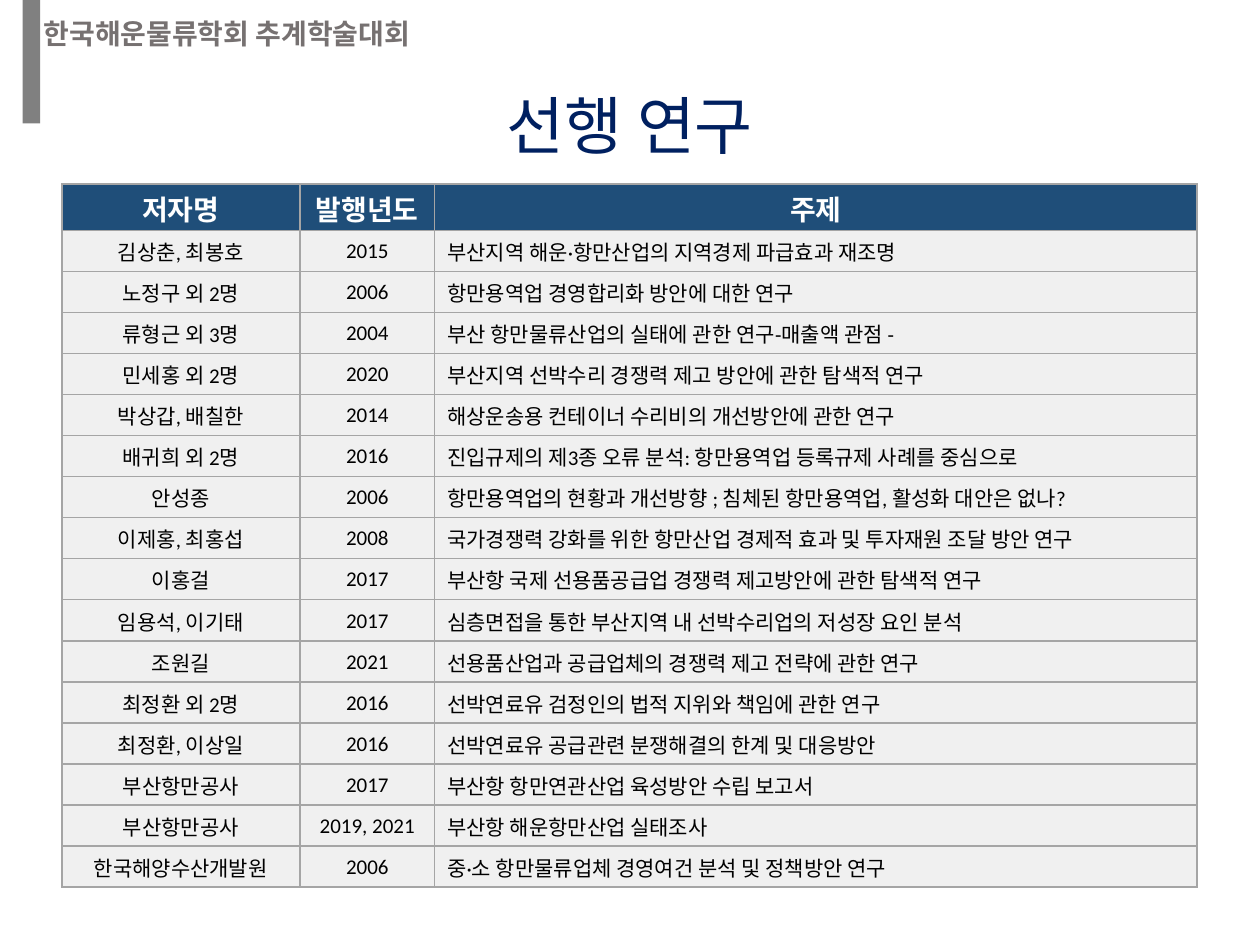
from lxml.etree import SubElement
from pptx import Presentation
from pptx.dml.color import RGBColor
from pptx.enum.shapes import MSO_SHAPE
from pptx.enum.text import MSO_ANCHOR, MSO_AUTO_SIZE, PP_ALIGN
from pptx.oxml.ns import qn
from pptx.util import Inches, Pt

# Content
CONFERENCE = "한국해운물류학회 추계학술대회"
TITLE = "선행 연구"
HEADINGS = ("저자명", "발행년도", "주제")
STUDIES = [
    ("김상춘, 최봉호", "2015", "부산지역 해운·항만산업의 지역경제 파급효과 재조명"),
    ("노정구 외 2명", "2006", "항만용역업 경영합리화 방안에 대한 연구"),
    ("류형근 외 3명", "2004", "부산 항만물류산업의 실태에 관한 연구-매출액 관점 -"),
    ("민세홍 외 2명", "2020", "부산지역 선박수리 경쟁력 제고 방안에 관한 탐색적 연구"),
    ("박상갑, 배칠한", "2014", "해상운송용 컨테이너 수리비의 개선방안에 관한 연구"),
    ("배귀희 외 2명", "2016", "진입규제의 제3종 오류 분석: 항만용역업 등록규제 사례를 중심으로"),
    ("안성종", "2006", "항만용역업의 현황과 개선방향 ; 침체된 항만용역업, 활성화 대안은 없나?"),
    ("이제홍, 최홍섭", "2008", "국가경쟁력 강화를 위한 항만산업 경제적 효과 및 투자재원 조달 방안 연구"),
    ("이홍걸", "2017", "부산항 국제 선용품공급업 경쟁력 제고방안에 관한 탐색적 연구"),
    ("임용석, 이기태", "2017", "심층면접을 통한 부산지역 내 선박수리업의 저성장 요인 분석"),
    ("조원길", "2021", "선용품산업과 공급업체의 경쟁력 제고 전략에 관한 연구"),
    ("최정환 외 2명", "2016", "선박연료유 검정인의 법적 지위와 책임에 관한 연구"),
    ("최정환, 이상일", "2016", "선박연료유 공급관련 분쟁해결의 한계 및 대응방안"),
    ("부산항만공사", "2017", "부산항 항만연관산업 육성방안 수립 보고서"),
    ("부산항만공사", "2019, 2021", "부산항 해운항만산업 실태조사"),
    ("한국해양수산개발원", "2006", "중·소 항만물류업체 경영여건 분석 및 정책방안 연구"),
]

COLORS = {
    "conference": "767171", "bar": "808080", "title": "002060",
    "heading_fill": "1F4E79", "heading_text": "FFFFFF",
    "body_fill": "F0F0F0", "body_text": "000000", "border": "A5A5A5",
}
KOREAN_FONT = "Noto Sans CJK KR"
COLUMN_WIDTHS = (1.89, 1.07, 6.05)
TABLE_LEFT, TABLE_TOP, TABLE_HEIGHT = 0.49, 1.46, 5.58
HEADING_HEIGHT = 0.37
TOPIC_COLUMN = 2


def color(name):
    return RGBColor.from_string(COLORS[name])


def add_text(paragraph, text, size, font_name, color_name, bold=False):
    run = paragraph.add_run()
    run.text = text
    font = run.font
    font.size, font.name, font.bold = Pt(size), font_name, bold
    font.color.rgb = color(color_name)
    SubElement(font._element, qn("a:ea"), typeface=KOREAN_FONT)


def add_borders(cell):
    properties = cell._tc.get_or_add_tcPr()
    for side in ("lnL", "lnR", "lnT", "lnB"):
        line = SubElement(properties, qn(f"a:{side}"), w=str(Pt(1)))
        fill = SubElement(line, qn("a:solidFill"))
        SubElement(fill, qn("a:srgbClr"), val=COLORS["border"])


def format_cell(cell, text, is_heading, is_topic):
    kind = "heading" if is_heading else "body"
    left_aligned = is_topic and not is_heading
    add_borders(cell)
    cell.fill.solid()
    cell.fill.fore_color.rgb = color(f"{kind}_fill")
    cell.vertical_anchor = MSO_ANCHOR.MIDDLE
    cell.margin_left = Inches(0.1 if left_aligned else 0.01)
    cell.margin_right = cell.margin_top = Inches(0.01)
    cell.margin_bottom = 0
    paragraph = cell.text_frame.paragraphs[0]
    paragraph.alignment = PP_ALIGN.LEFT if left_aligned else PP_ALIGN.CENTER
    add_text(paragraph, text, 16 if is_heading else 12, "Calibri",
             f"{kind}_text", is_heading)


presentation = Presentation()
presentation.slide_width, presentation.slide_height = Inches(10), Inches(7.5)
slide = presentation.slides.add_slide(presentation.slide_layouts[5])

# Conference name
conference = slide.shapes.add_textbox(Inches(0.25), 0, Inches(3.91), Inches(0.41))
conference.text_frame.word_wrap = True
paragraph = conference.text_frame.paragraphs[0]
paragraph.line_spacing = 1.3
add_text(paragraph, CONFERENCE, 16, "Arial", "conference", True)

# Side bar
bar = slide.shapes.add_shape(MSO_SHAPE.RECTANGLE, Inches(0.18), 0,
                             Inches(0.14), Inches(0.98))
bar.shadow.inherit = False
bar.fill.solid()
bar.fill.fore_color.rgb = color("bar")
bar.line.fill.background()

# Title
title = slide.shapes.title
title.left, title.top = Inches(3.86), Inches(0.63)
title.width, title.height = Inches(2.28), Inches(0.71)
title.text_frame.word_wrap = False
title.text_frame.auto_size = MSO_AUTO_SIZE.SHAPE_TO_FIT_TEXT
add_text(title.text_frame.paragraphs[0], TITLE, 36, KOREAN_FONT, "title")

# Table of earlier studies
rows = [HEADINGS, *STUDIES]
table = slide.shapes.add_table(
    len(rows), len(HEADINGS), Inches(TABLE_LEFT), Inches(TABLE_TOP),
    Inches(sum(COLUMN_WIDTHS)), Inches(TABLE_HEIGHT)).table
for column, width in zip(table.columns, COLUMN_WIDTHS):
    column.width = Inches(width)
study_height = (TABLE_HEIGHT - HEADING_HEIGHT) / len(STUDIES)
for row_index, values in enumerate(rows):
    is_heading = row_index == 0
    table.rows[row_index].height = Inches(HEADING_HEIGHT if is_heading else study_height)
    for column_index, text in enumerate(values):
        format_cell(table.cell(row_index, column_index), text, is_heading,
                    column_index == TOPIC_COLUMN)

presentation.save("out.pptx")
